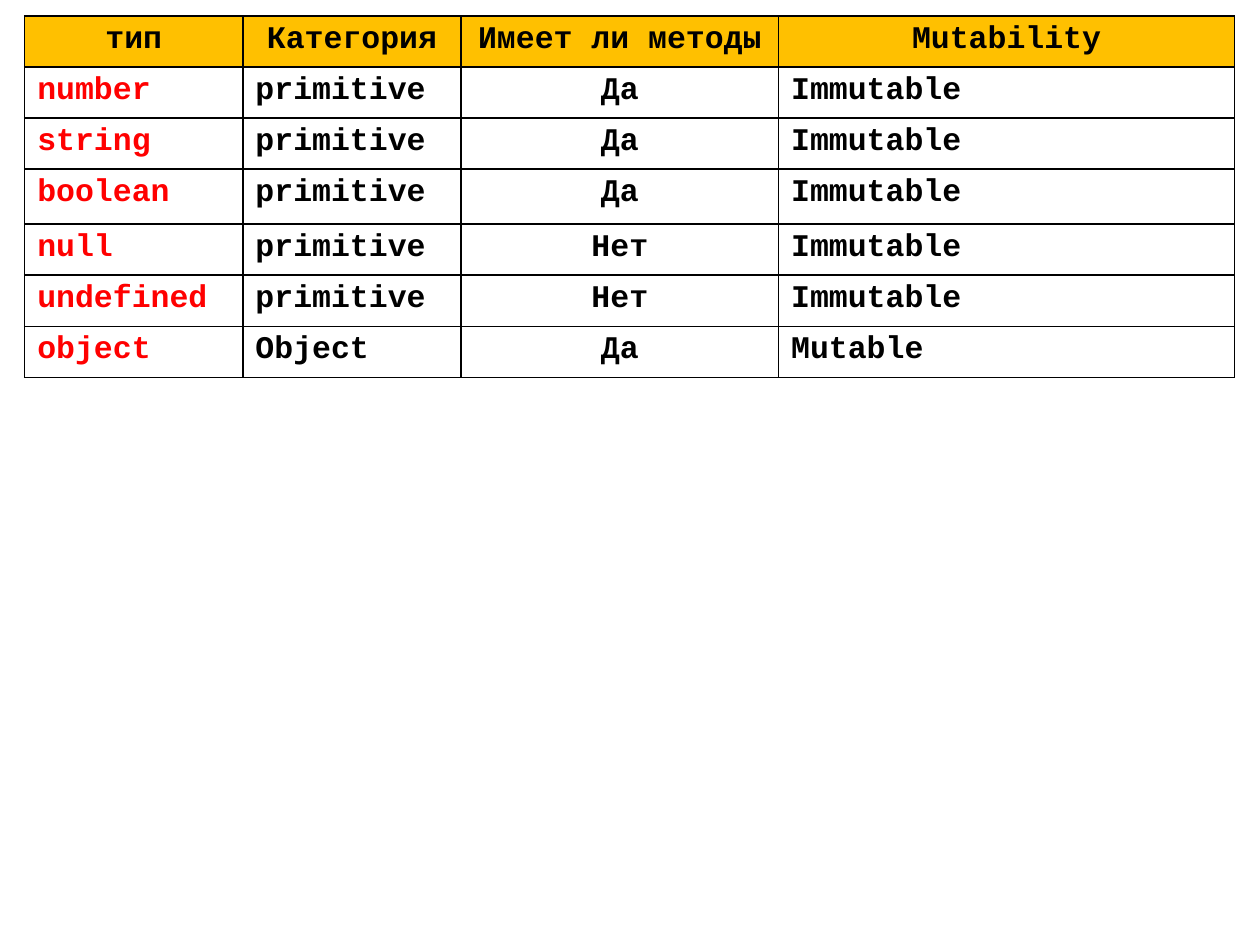
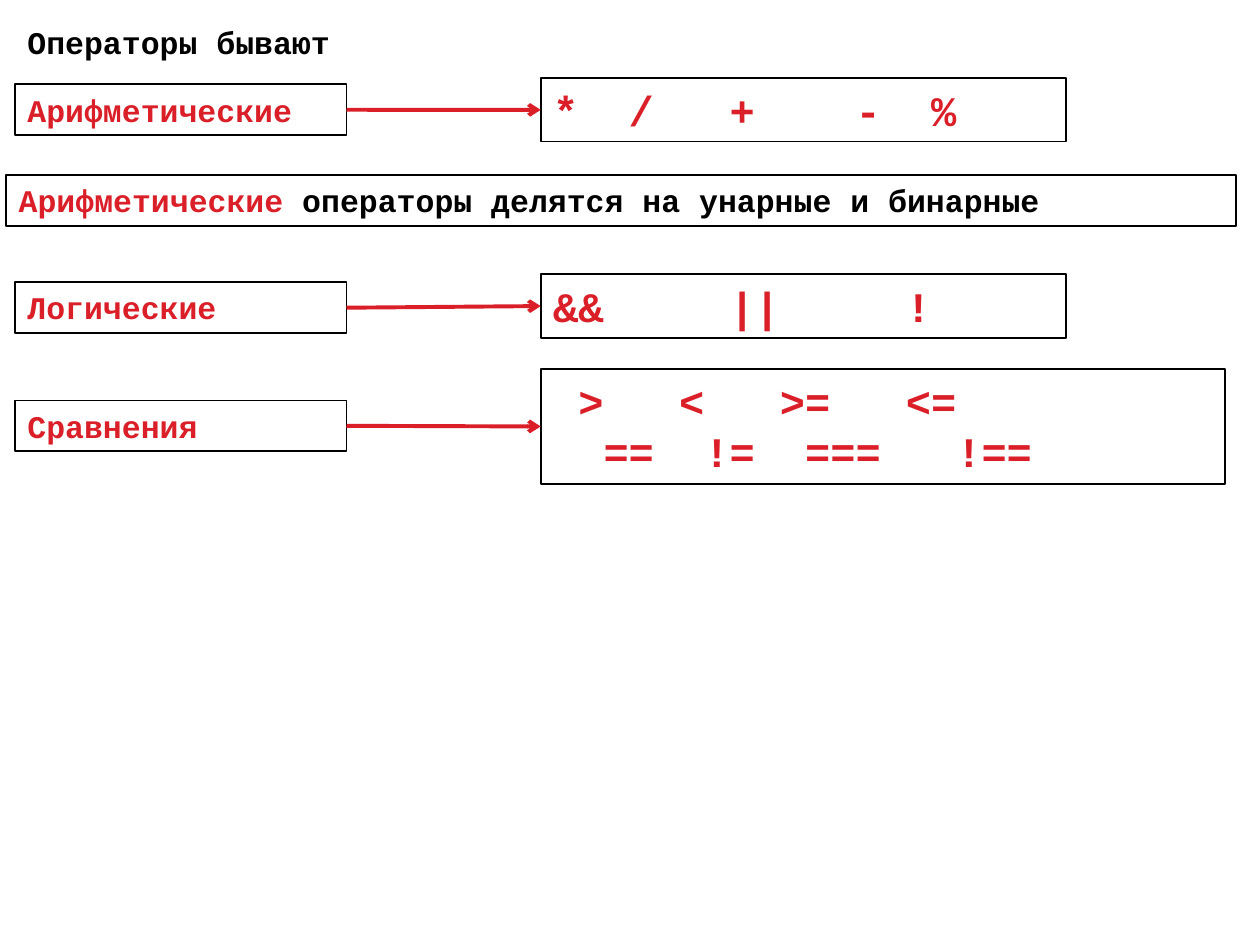
import pptx
import pptx.dml.color
import pptx.enum.shapes
import pptx.enum.text
import pptx.oxml
import pptx.oxml.ns
import pptx.util
from lxml import etree

Pt = pptx.util.Pt
RGBColor = pptx.dml.color.RGBColor
ALIGN = pptx.enum.text.PP_ALIGN
qn = pptx.oxml.ns.qn

BLACK = RGBColor(0x00, 0x00, 0x00)
WHITE = RGBColor(0xFF, 0xFF, 0xFF)
AMBER = RGBColor(0xFF, 0xC0, 0x00)
TYPE_RED = RGBColor(0xFF, 0x00, 0x00)
OPERATOR_RED = RGBColor(0xDA, 0x1F, 0x28)

TYPE_ROWS = [
    ("тип", "Категория", "Имеет ли методы", "Mutability"),
    ("number", "primitive", "Да", "Immutable"),
    ("string", "primitive", "Да", "Immutable"),
    ("boolean", "primitive", "Да", "Immutable"),
    ("null", "primitive", "Нет", "Immutable"),
    ("undefined", "primitive", "Нет", "Immutable"),
    ("object", "Object", "Да", "Mutable"),
]
COLUMN_WIDTHS = [124.7, 124.7, 181.4, 260.6]
ROW_HEIGHTS = [29.2, 29.2, 29.2, 31.4, 29.2, 29.2, 29.2]

OPERATOR_GROUPS = [
    ("Арифметические", 48.2, (44.6, 300.2, 36.4),
     [("*\t/\t+\t-\t%", (3, 7, 12, 15))]),
    ("Логические", 161.3, (156.7, 300.2, 36.4),
     [("&&\t||\t!", (7, 14))]),
    ("Сравнения", 228.8, (211, 391, 65.4),
     [("\t>\t<\t>=\t<=", (1, 5, 9, 14)),
      ("\t==\t!=\t===\t!==", (2, 6, 10, 16))]),
]
LABEL_LEFT, LABEL_WIDTH, LABEL_HEIGHT = 8.6, 189.4, 29.1
OPERATORS_LEFT = 309


class Deck:
    font_name = "Courier New"
    text_size = 18
    operator_size = 24
    character_width = 0.6

    def __init__(self):
        self.presentation = pptx.Presentation()
        self.presentation.slide_width = Pt(720)
        self.presentation.slide_height = Pt(540)
        self.slide = None

    def new_slide(self):
        self.slide = self.presentation.slides.add_slide(self.presentation.slide_layouts[6])

    def style_run(self, run, color, size):
        run.font.name = self.font_name
        run.font.size = Pt(size)
        run.font.bold = True
        run.font.color.rgb = color

    def set_text(self, paragraph, text, color, size=text_size, align=ALIGN.LEFT):
        paragraph.text = text
        paragraph.alignment = align
        for run in paragraph.runs:
            self.style_run(run, color, size)

    def fit(self, shape):
        frame = shape.text_frame
        frame.word_wrap = True
        frame.auto_size = pptx.enum.text.MSO_AUTO_SIZE.SHAPE_TO_FIT_TEXT
        frame.vertical_anchor = pptx.enum.text.MSO_ANCHOR.TOP
        return frame

    def heading(self, text, left, top, width, height):
        shape = self.slide.shapes.add_textbox(Pt(left), Pt(top), Pt(width), Pt(height))
        self.set_text(self.fit(shape).paragraphs[0], text, BLACK)

    def box(self, left, top, width, height, text="", color=OPERATOR_RED):
        shape = self.slide.shapes.add_shape(
            pptx.enum.shapes.MSO_SHAPE.RECTANGLE, Pt(left), Pt(top), Pt(width), Pt(height))
        shape.shadow.inherit = False
        shape.fill.background()
        shape.line.color.rgb = BLACK
        shape.line.width = Pt(1)
        self.set_text(self.fit(shape).paragraphs[0], text, color)
        return shape

    def operators_box(self, left, top, width, height, lines):
        shape = self.box(left, top, width, height)
        frame = shape.text_frame
        for index, (text, columns) in enumerate(lines):
            paragraph = frame.add_paragraph() if index else frame.paragraphs[0]
            self.add_tabs(paragraph, columns)
            self.set_text(paragraph, text, OPERATOR_RED, self.operator_size)
        return shape

    def add_tabs(self, paragraph, columns):
        properties = paragraph._p.get_or_add_pPr()
        tabs = etree.SubElement(properties, qn("a:tabLst"))
        for column in columns:
            position = Pt(column * self.operator_size * self.character_width)
            etree.SubElement(tabs, qn("a:tab"), pos=str(position), algn="l")

    def arrow(self, source, target):
        connector = self.slide.shapes.add_connector(
            pptx.enum.shapes.MSO_CONNECTOR.STRAIGHT, Pt(0), Pt(0), Pt(0), Pt(0))
        connector.begin_connect(source, 3)
        connector.end_connect(target, 1)
        connector.line.color.rgb = OPERATOR_RED
        connector.line.width = Pt(2.25)
        properties = connector._element.spPr
        etree.SubElement(properties.find(qn("a:ln")), qn("a:tailEnd"), type="arrow")
        etree.SubElement(properties, qn("a:effectLst"))

    def border(self, cell):
        properties = cell._tc.get_or_add_tcPr()
        for side in ("lnL", "lnR", "lnT", "lnB"):
            line = etree.SubElement(properties, qn(f"a:{side}"), w=str(Pt(1)))
            fill = etree.SubElement(line, qn("a:solidFill"))
            etree.SubElement(fill, qn("a:srgbClr"), val=str(BLACK))

    def table(self, left, top, widths, heights, rows):
        table = self.slide.shapes.add_table(
            len(rows), len(widths), Pt(left), Pt(top), Pt(sum(widths)), Pt(sum(heights))).table
        table.horz_banding = False
        for column, width in zip(table.columns, widths):
            column.width = Pt(width)
        for row, height in zip(table.rows, heights):
            row.height = Pt(height)
        for row_index, texts in enumerate(rows):
            header = row_index == 0
            for column_index, text in enumerate(texts):
                cell = table.cell(row_index, column_index)
                self.border(cell)
                cell.fill.solid()
                cell.fill.fore_color.rgb = AMBER if header else WHITE
                color = TYPE_RED if column_index == 0 and not header else BLACK
                align = ALIGN.CENTER if header or column_index == 2 else ALIGN.LEFT
                self.set_text(cell.text_frame.paragraphs[0], text, color, align=align)


def build_types(deck):
    deck.new_slide()
    deck.table(14.1, 9.1, COLUMN_WIDTHS, ROW_HEIGHTS, TYPE_ROWS)


def build_operators(deck):
    deck.new_slide()
    deck.heading("Операторы бывают", LABEL_LEFT, 9.4, 198.7, LABEL_HEIGHT)
    note = deck.box(3.6, 100.1, 702.7, LABEL_HEIGHT, "Арифметические")
    run = note.text_frame.paragraphs[0].add_run()
    run.text = " операторы делятся на унарные и бинарные"
    deck.style_run(run, BLACK, deck.text_size)
    for name, label_top, (top, width, height), lines in OPERATOR_GROUPS:
        label = deck.box(LABEL_LEFT, label_top, LABEL_WIDTH, LABEL_HEIGHT, name)
        operators = deck.operators_box(OPERATORS_LEFT, top, width, height, lines)
        deck.arrow(label, operators)


def main():
    deck = Deck()
    build_types(deck)
    build_operators(deck)
    deck.presentation.save("out.pptx")


if __name__ == "__main__":
    main()
